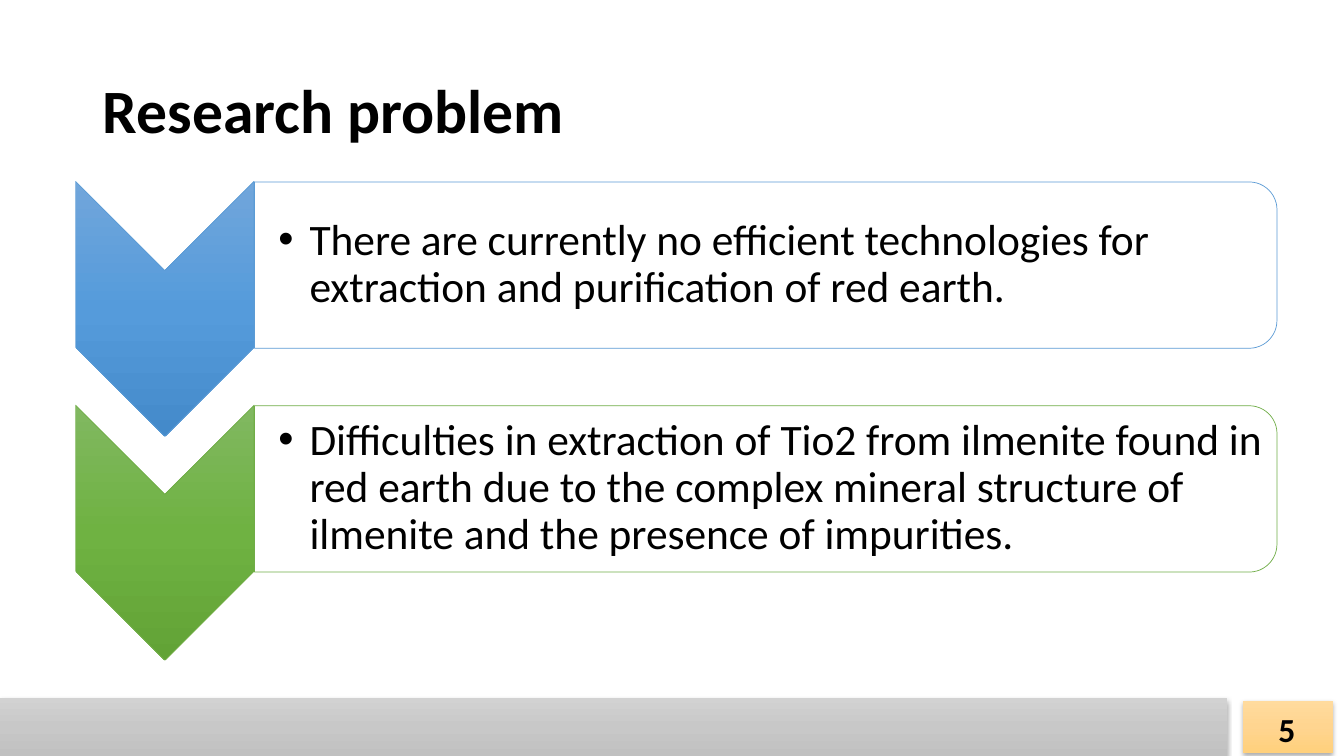
"""Build the research problem slide: two chevrons with rounded text panels."""
from pptx import Presentation
from pptx import util as u
from pptx.dml.color import RGBColor
from pptx.enum import shapes, text
from pptx.oxml import parse_xml
from pptx.oxml.ns import nsdecls

PX = 9144
TWO_LISTS_LAYOUT = 3
ROW_PITCH = 222
BULLET_INDENT = 31 * PX
INSET = 2 * PX

BLACK = RGBColor(0x00, 0x00, 0x00)
WHITE = RGBColor(0xFF, 0xFF, 0xFF)
BLUE = RGBColor(0x5B, 0x9B, 0xD5)
GREEN = RGBColor(0x70, 0xAD, 0x47)
BLUE_FADE = [RGBColor(0x71, 0xA6, 0xDB), RGBColor(0x55, 0x9B, 0xDB), RGBColor(0x44, 0x8A, 0xCA)]
GREEN_FADE = [RGBColor(0x81, 0xB8, 0x61), RGBColor(0x6F, 0xB2, 0x42), RGBColor(0x62, 0xA3, 0x36)]
GREY_FADE = [RGBColor(0xD2, 0xD2, 0xD2), RGBColor(0xC8, 0xC8, 0xC8), RGBColor(0xC0, 0xC0, 0xC0)]
ORANGE_FADE = [RGBColor(0xFF, 0xDB, 0x9E), RGBColor(0xFF, 0xD5, 0x90), RGBColor(0xFF, 0xD0, 0x7C)]

FIXED_FRAME = {"word_wrap": True, "auto_size": text.MSO_AUTO_SIZE.NONE,
               "vertical_anchor": text.MSO_ANCHOR.MIDDLE}
LIST_FRAME = {**FIXED_FRAME, "margin_left": 24 * PX, "margin_right": INSET,
              "margin_top": INSET, "margin_bottom": INSET}
NUMBER_FRAME = {"word_wrap": True, "auto_size": text.MSO_AUTO_SIZE.SHAPE_TO_FIT_TEXT}
TITLE_PARA = {"alignment": text.PP_ALIGN.LEFT, "line_spacing": 0.9}
LIST_PARA = {**TITLE_PARA, "level": 1, "space_before": u.Pt(0), "space_after": u.Pt(5)}
TITLE_FONT = {"name": "Calibri", "size": u.Pt(44), "bold": True}
LIST_FONT = {"name": "Calibri", "size": u.Pt(31)}
NUMBER_FONT = {"name": "Calibri", "size": u.Pt(24), "bold": True}

PROBLEMS = [
    (BLUE, BLUE_FADE, "There are currently no efficient technologies for "
     "extraction and purification of red earth."),
    (GREEN, GREEN_FADE, "Difficulties in extraction of Tio2 from ilmenite found in "
     "red earth due to the complex mineral structure of ilmenite and the presence of impurities."),
]
FOOTER_BARS = [((0, 692, 1217, 58), GREY_FADE), ((1233, 695, 89, 52), ORANGE_FADE)]


def add_block(kind, place, fade):
    """Add a preset shape filled from top to bottom with evenly spaced colours."""
    block = page.shapes.add_shape(kind, *(length * PX for length in place))
    last = len(fade) - 1
    stops = "".join(f'<a:gs pos="{100000 * step // last}"><a:srgbClr val="{color}"/></a:gs>'
                    for step, color in enumerate(fade))
    block._element.spPr.append(parse_xml(
        f'<a:gradFill {nsdecls("a")} rotWithShape="0"><a:gsLst>{stops}</a:gsLst>'
        '<a:lin ang="5400000" scaled="0"/></a:gradFill>'))
    block.line.fill.background()
    block.shadow.inherit = False
    return block


def write(box, place, wording, frame_format, para_format, font_format):
    """Place a text box and fill it with one formatted paragraph."""
    box.left, box.top, box.width, box.height = (length * PX for length in place)
    frame = box.text_frame
    frame.text = wording
    para = frame.paragraphs[0]
    font = para.runs[0].font
    font.color.rgb = BLACK
    for target, values in ((frame, frame_format), (para, para_format), (font, font_format)):
        for name, value in values.items():
            setattr(target, name, value)
    return para


deck = Presentation()
deck.slide_width, deck.slide_height = 1333 * PX, 750 * PX
page = deck.slides.add_slide(deck.slide_layouts[TWO_LISTS_LAYOUT])
title, *bodies = page.placeholders

write(title, (92, 40, 1150, 145), "Research problem", FIXED_FRAME, TITLE_PARA, TITLE_FONT)

for row, (body, (color, fade, wording)) in enumerate(zip(bodies, PROBLEMS)):
    shift = ROW_PITCH * row
    chevron = add_block(shapes.MSO_SHAPE.CHEVRON, (37, 218 + shift, 253, 177), fade)
    panel = add_block(shapes.MSO_SHAPE.ROUND_2_SAME_RECTANGLE,
                      (677, shift - 244, 165, 1014), [WHITE, WHITE])
    panel.fill.solid()
    panel.fill.fore_color.rgb = WHITE
    panel_color = panel._element.spPr.xpath("a:solidFill/a:srgbClr")[0]
    panel_color.append(parse_xml(f'<a:alpha {nsdecls("a")} val="90000"/>'))
    for block in (chevron, panel):
        block.rotation = 90
        block.line.color.rgb = color
        block.line.width = u.Pt(0.5)

    para = write(body, (252, 188 + shift, 1006, 149), wording, LIST_FRAME, LIST_PARA, LIST_FONT)
    bullet = para._p.get_or_add_pPr()
    bullet.set("marL", str(BULLET_INDENT))
    bullet.set("indent", str(-BULLET_INDENT))
    bullet.append(parse_xml(f'<a:buChar {nsdecls("a")} char="•"/>'))
    page.shapes._spTree.append(body._element)

for place, fade in FOOTER_BARS:
    bar = add_block(shapes.MSO_SHAPE.RECTANGLE, place, fade)
    effects = bar._element.spPr.xpath("a:effectLst")[0]
    effects.append(parse_xml(
        f'<a:outerShdw {nsdecls("a")} blurRad="{u.Pt(3.5)}" dist="{u.Pt(2.2)}" dir="5400000" '
        'rotWithShape="0"><a:srgbClr val="000000"><a:alpha val="32000"/></a:srgbClr></a:outerShdw>'))

number = page.shapes.add_textbox(0, 0, PX, PX)
write(number, (1258, 698, 50, 50), "5", NUMBER_FRAME, {}, NUMBER_FONT)

deck.save("out.pptx")
